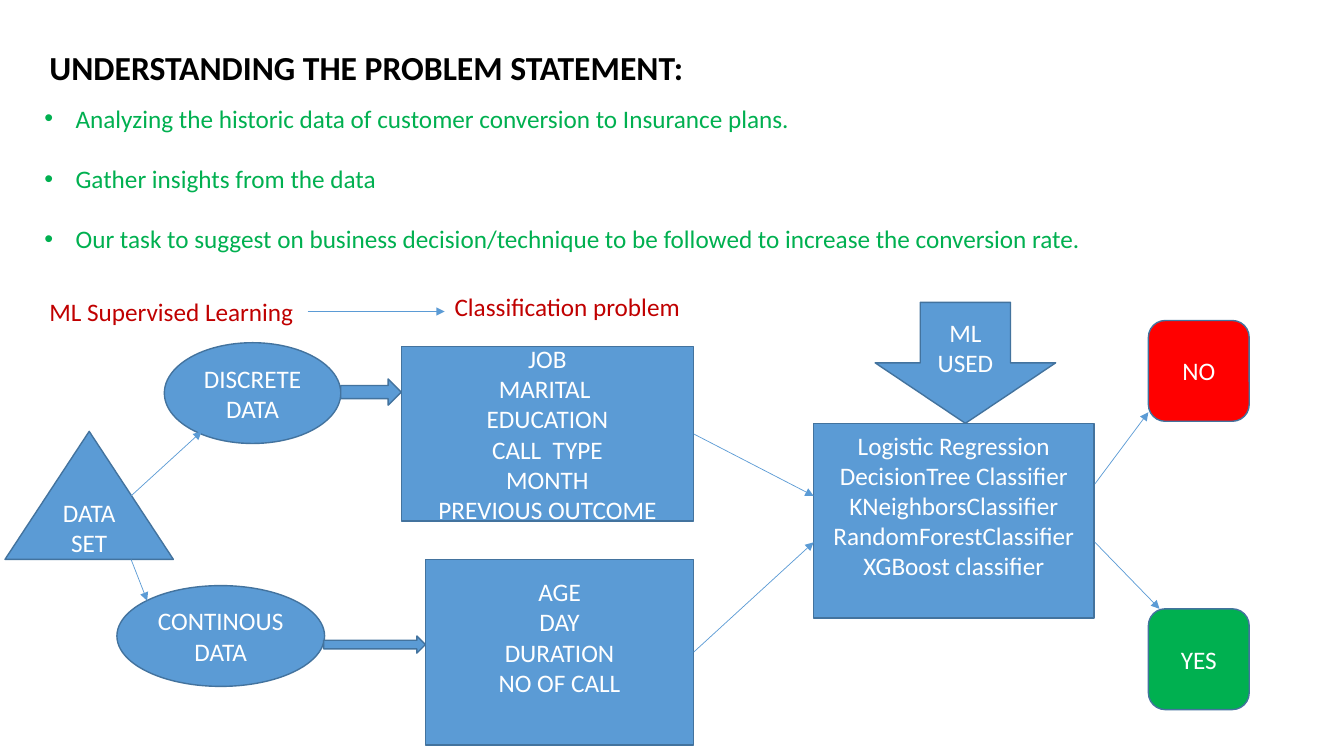
from dataclasses import dataclass
from typing import Optional

from lxml import etree
from pptx import Presentation
from pptx import util as u
from pptx.dml.color import RGBColor
from pptx.enum import shapes, text
from pptx.oxml import ns

EMU_PER_PX = 9144


@dataclass(frozen=True)
class Theme:
    font: str = "Calibri"
    title_size: int = 24
    text_size: int = 18
    title: str = "000000"
    bullet: str = "00B050"
    label: str = "C00000"
    fill: str = "5B9BD5"
    outline: str = "43739E"
    on_fill: str = "FFFFFF"
    no: str = "FF0000"
    yes: str = "00B050"


@dataclass(frozen=True)
class Area:
    left: int
    top: int
    width: int
    height: int


@dataclass(frozen=True)
class Node:
    key: str
    kind: shapes.MSO_SHAPE
    area: Area
    lines: tuple[str, ...] = ()
    fill: str = Theme.fill
    bottom_inset: int = 5


@dataclass(frozen=True)
class Arrow:
    start: tuple[int, int]
    end: tuple[int, int]
    source: Optional[str] = None  # node whose right side the arrow leaves


THEME = Theme()
KIND = shapes.MSO_SHAPE
RIGHT_SIDE = 3

TITLE = "UNDERSTANDING THE PROBLEM STATEMENT:"
GOALS = (
    "Analyzing the historic data of customer conversion to Insurance plans.",
    "Gather insights from the data",
    "Our task to suggest on business decision/technique to be followed "
    "to increase the conversion rate.",
)
LABELS = (
    ("ML Supervised Learning", Area(39, 289, 275, 40)),
    ("Classification problem", Area(441, 284, 255, 40)),
)
NODES = (
    Node("discrete fields", KIND.RECTANGLE, Area(398, 344, 290, 173),
         ("JOB", "MARITAL ", "EDUCATION", "CALL  TYPE", "MONTH", "PREVIOUS OUTCOME")),
    Node("continuous fields", KIND.RECTANGLE, Area(422, 555, 266, 184),
         ("AGE", "DAY", "DURATION", "NO OF CALL"), bottom_inset=35),
    Node("discrete data", KIND.OVAL, Area(163, 340, 175, 100), ("DISCRETE DATA",)),
    Node("continuous data", KIND.OVAL, Area(116, 581, 206, 100), ("CONTINOUS DATA",)),
    Node("data set", KIND.ISOSCELES_TRIANGLE, Area(5, 428, 167, 127), ("DATA SET",)),
    Node("classifiers", KIND.RECTANGLE, Area(807, 420, 278, 193),
         ("Logistic Regression", "DecisionTree Classifier", "KNeighborsClassifier",
          "RandomForestClassifier", "XGBoost classifier"), bottom_inset=35),
    Node("no", KIND.ROUNDED_RECTANGLE, Area(1139, 318, 100, 100), ("NO",), THEME.no),
    Node("yes", KIND.ROUNDED_RECTANGLE, Area(1139, 604, 100, 100), ("YES",), THEME.yes),
    Node("discrete arrow", KIND.RIGHT_ARROW, Area(338, 376, 60, 26)),
    Node("continuous arrow", KIND.RIGHT_ARROW, Area(321, 631, 101, 17)),
    Node("ml used", KIND.DOWN_ARROW, Area(868, 300, 179, 120), ("ML USED",)),
)
ARROWS = (
    Arrow((305, 309), (441, 309)),
    Arrow((130, 492), (200, 428)),
    Arrow((130, 555), (146, 596)),
    Arrow((688, 430), (807, 492), "discrete fields"),
    Arrow((688, 647), (807, 538), "continuous fields"),
    Arrow((1086, 480), (1139, 409)),
    Arrow((1086, 538), (1150, 604)),
)


def px(length: int) -> u.Emu:
    return u.Emu(length * EMU_PER_PX)


def bounds(area: Area) -> tuple[u.Emu, ...]:
    return px(area.left), px(area.top), px(area.width), px(area.height)


def write(frame, lines: tuple[str, ...], color: str, align: text.PP_ALIGN,
          size: int = THEME.text_size, bold: bool = False) -> None:
    frame.word_wrap = True
    frame.auto_size = text.MSO_AUTO_SIZE.NONE
    for index, line in enumerate(lines):
        para = frame.add_paragraph() if index else frame.paragraphs[0]
        para.alignment = align
        para.space_before = u.Pt(0)
        span = para.add_run()
        span.text = line
        span.font.name = THEME.font
        span.font.size = u.Pt(size)
        span.font.bold = bold
        span.font.color.rgb = RGBColor.from_string(color)


def add_title(page) -> None:
    title = page.shapes.title
    title.left, title.top, title.width, title.height = bounds(Area(39, 42, 690, 50))
    title.text_frame.vertical_anchor = text.MSO_ANCHOR.TOP
    write(title.text_frame, (TITLE,), THEME.title, text.PP_ALIGN.LEFT,
          THEME.title_size, bold=True)


def add_goals(page) -> None:
    body = page.placeholders[1]
    body.left, body.top, body.width, body.height = bounds(Area(34, 97, 1260, 162))
    write(body.text_frame, GOALS, THEME.bullet, text.PP_ALIGN.LEFT)
    for index, para in enumerate(body.text_frame.paragraphs):
        if index:
            para.space_before = u.Pt(21.6)
        properties = para._p.get_or_add_pPr()
        properties.set("marL", str(px(31)))
        properties.set("indent", str(px(-31)))
        etree.SubElement(properties, ns.qn("a:buFont"), typeface="Arial")
        etree.SubElement(properties, ns.qn("a:buChar"), char="•")


def add_label(page, wording: str, area: Area) -> None:
    box = page.shapes.add_textbox(*bounds(area))
    write(box.text_frame, (wording,), THEME.label, text.PP_ALIGN.LEFT)


def add_node(page, node: Node):
    shape = page.shapes.add_shape(node.kind, *bounds(node.area))
    shape.shadow.inherit = False
    shape.fill.solid()
    shape.fill.fore_color.rgb = RGBColor.from_string(node.fill)
    shape.line.color.rgb = RGBColor.from_string(THEME.outline)
    shape.line.width = u.Pt(1)
    if node.lines:
        frame = shape.text_frame
        frame.vertical_anchor = text.MSO_ANCHOR.MIDDLE
        frame.margin_bottom = px(node.bottom_inset)
        write(frame, node.lines, THEME.on_fill, text.PP_ALIGN.CENTER)
    return shape


def add_arrow(page, arrow: Arrow, nodes: dict) -> None:
    ends = [px(value) for value in arrow.start + arrow.end]
    line = page.shapes.add_connector(shapes.MSO_CONNECTOR.STRAIGHT, *ends)
    if arrow.source:
        line.begin_connect(nodes[arrow.source], RIGHT_SIDE)
    line.line.color.rgb = RGBColor.from_string(THEME.fill)
    line.line.width = u.Pt(0.5)
    etree.SubElement(line.line._get_or_add_ln(), ns.qn("a:tailEnd"), type="triangle")
    etree.SubElement(line._element.spPr, ns.qn("a:effectLst"))


def main() -> None:
    deck = Presentation()
    deck.slide_width, deck.slide_height = px(1333), px(750)
    page = deck.slides.add_slide(deck.slide_layouts[1])
    add_title(page)
    add_goals(page)
    for wording, area in LABELS:
        add_label(page, wording, area)
    nodes = {node.key: add_node(page, node) for node in NODES}
    for arrow in ARROWS:
        add_arrow(page, arrow, nodes)
    deck.save("out.pptx")


if __name__ == "__main__":
    main()
